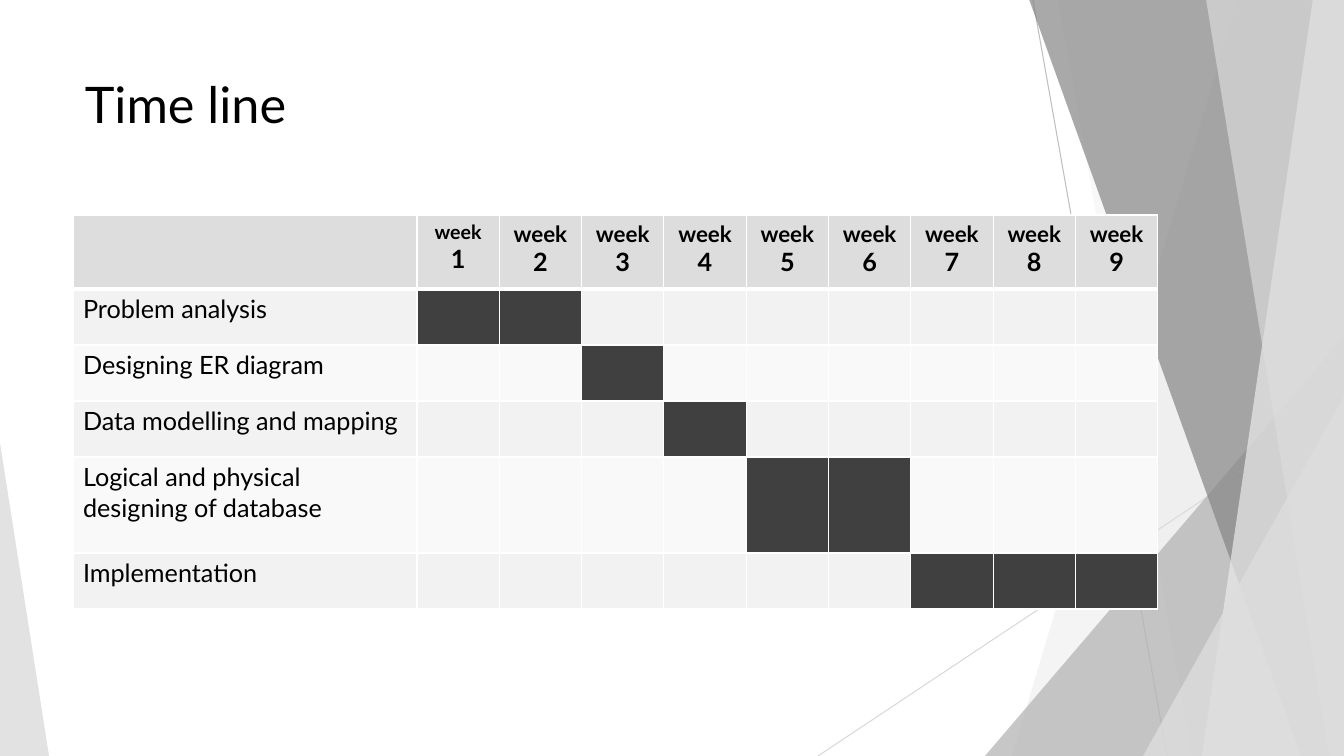
"""Build the project time line slide: a week-by-week chart over grey facets."""
from lxml.etree import SubElement
from pptx import Presentation
from pptx.dml.color import RGBColor
from pptx.enum.shapes import MSO_CONNECTOR as Connector, MSO_SHAPE as Shape
from pptx.enum.text import MSO_ANCHOR as Anchor, PP_ALIGN as Align
from pptx.oxml.ns import qn
from pptx.util import Pt

PX = 914400 / 100.8
WIDTH, HEIGHT = 1344, 756


def paint(fill, color):
    fill.solid()
    fill.fore_color.rgb = RGBColor.from_string(color)


def write(frame, lines, sizes, bold=False, align=Align.LEFT):
    for index, (line, size) in enumerate(zip(lines, sizes)):
        para = frame.add_paragraph() if index else frame.paragraphs[0]
        para.alignment = align
        span = para.add_run()
        span.text = line
        span.font.name = "Lato"
        span.font.size = Pt(size)
        span.font.bold = bold
        paint(span.font.fill, "000000")


deck = Presentation()
deck.slide_width, deck.slide_height = round(WIDTH * PX), round(HEIGHT * PX)
page = deck.slides.add_slide(deck.slide_layouts[6])

rays = [((1033, 0, 1167, HEIGHT), "BFBFBF"), ((WIDTH, 406, 818, HEIGHT), "D9D9D9")]
for ends, color in rays:
    ray = page.shapes.add_connector(Connector.STRAIGHT, *(round(end * PX) for end in ends))
    paint(ray.line.fill, color)
    ray.line.width = Pt(0.75)
    SubElement(ray._element.spPr, qn("a:effectLst"))

# Blades give top and bottom left corners; wedges give left, top, right and apex.
facets = [
    ("blade", (1238, 1012), "DDDDDD", 30),
    ("blade", (1058, 1192), "DDDDDD", 20),
    ("wedge", (985, 336, WIDTH, 1), "B2B2B2", 72),
    ("blade", (1029, 1301), "858585", 70),
    ("blade", (1313, 1202), "EBEBEB", 70),
    ("blade", (1206, 1329), "DDDDDD", 65),
    ("wedge", (1143, 396, WIDTH, 1), "DDDDDD", 80),
    ("wedge", (0, 443, 49, 0), "DDDDDD", 85),
]
for kind, layout, color, opacity in facets:
    if kind == "blade":
        top_left, bottom_left = layout
        outline = page.shapes.build_freeform(top_left, -1, scale=PX)
        outline.add_line_segments([(WIDTH, -1), (WIDTH, HEIGHT), (bottom_left, HEIGHT)])
        facet = outline.convert_to_shape()
    else:
        left, top, right, apex = layout
        box = (left, top, right - left, HEIGHT - top)
        facet = page.shapes.add_shape(Shape.ISOSCELES_TRIANGLE, *(round(side * PX) for side in box))
        facet.adjustments[0] = apex
    facet.shadow.inherit = False
    facet.line.fill.background()
    paint(facet.fill, color)
    tint = facet._element.spPr.find(".//" + qn("a:srgbClr"))
    SubElement(tint, qn("a:alpha"), val=str(opacity * 1000))

title = page.shapes.add_textbox(*(round(side * PX) for side in (75, 68, 948, 145)))
title.text_frame.word_wrap = True
title.text_frame.vertical_anchor = Anchor.TOP
write(title.text_frame, ["Time line"], [36])

tasks = [
    ("Problem analysis", (1, 2), 56),
    ("Designing ER diagram", (3,), 56),
    ("Data modelling and mapping", (4,), 56),
    ("Logical and physical designing of database", (5, 6), 96),
    ("Implementation", (7, 8, 9), 56),
]
WEEKS = 9
widths = [344] + [741 / WEEKS] * WEEKS
heights = [74] + [height for name, weeks, height in tasks]
area = (73, 215, sum(widths), sum(heights))
table = page.shapes.add_table(
    len(heights), len(widths), *(round(side * PX) for side in area)).table
table.first_row = table.horz_banding = False
for column, width in zip(table.columns, widths):
    column.width = round(width * PX)
for row, height in zip(table.rows, heights):
    row.height = round(height * PX)

for week in range(1, WEEKS + 1):
    write(table.cell(0, week).text_frame, ["week", str(week)],
          [14 if week == 1 else 16, 18], bold=True, align=Align.CENTER)
for number, (name, weeks, height) in enumerate(tasks, 1):
    write(table.cell(number, 0).text_frame, [name], [18])

for number in range(len(heights)):
    for week in range(len(widths)):
        cell = table.cell(number, week)
        props = cell._tc.get_or_add_tcPr()
        for side in "LRTB":
            thick = (number, side) in ((0, "B"), (1, "T"))
            border = SubElement(props, qn("a:ln" + side), w=str(Pt(3 if thick else 1)))
            SubElement(SubElement(border, qn("a:solidFill")), qn("a:srgbClr"), val="FFFFFF")
        if number == 0:
            color = "DDDDDD"
        elif week in tasks[number - 1][1]:
            color = "404040"
        else:
            color = "F2F2F2" if number % 2 else "F9F9F9"
        paint(cell.fill, color)

deck.save("out.pptx")
